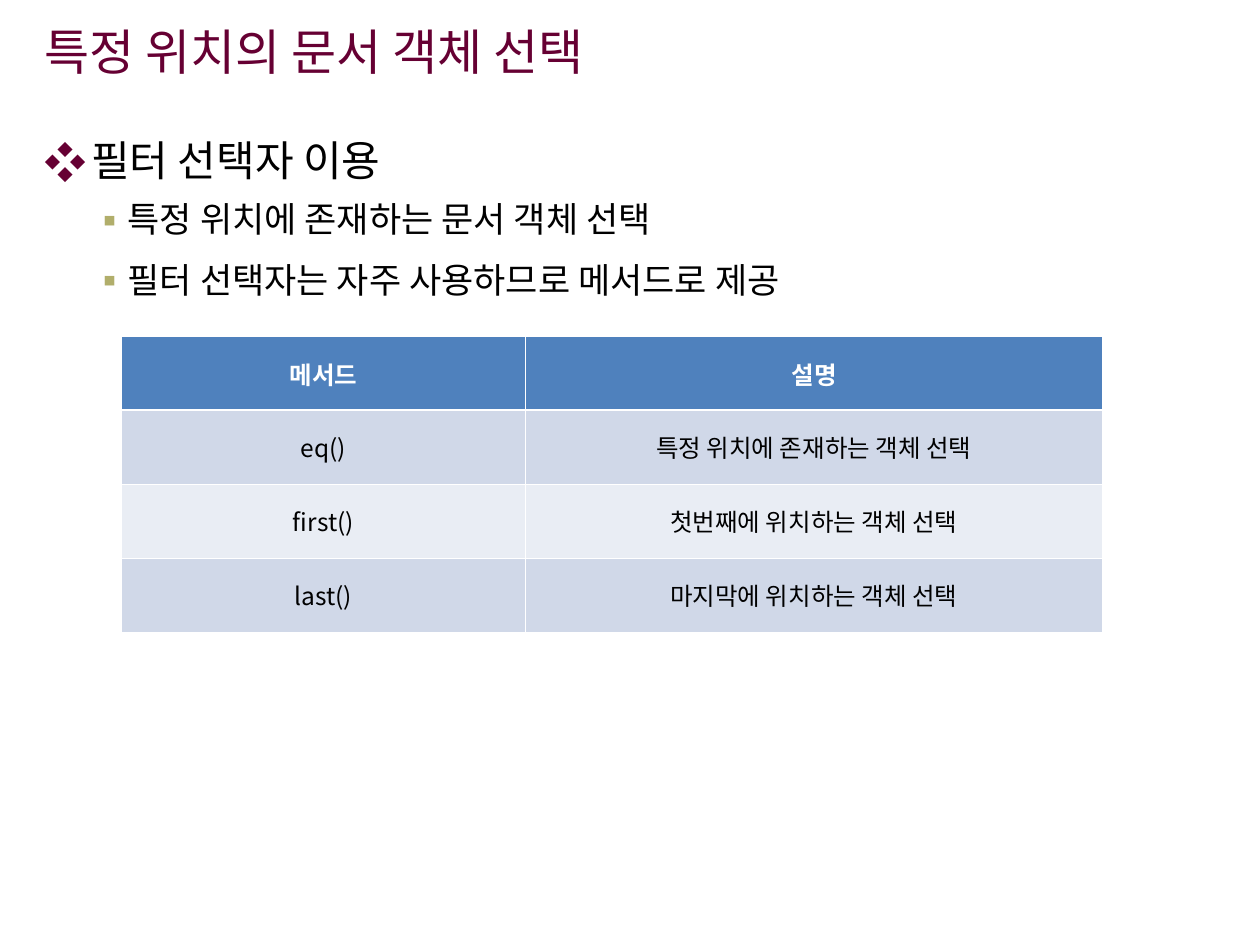
import dataclasses

import lxml.etree
import pptx
import pptx.dml.color
import pptx.enum.text
import pptx.oxml.ns
import pptx.util

Cm = pptx.util.Cm
Pt = pptx.util.Pt
Align = pptx.enum.text.PP_ALIGN
Anchor = pptx.enum.text.MSO_ANCHOR
qn = pptx.oxml.ns.qn


@dataclasses.dataclass(frozen=True)
class Theme:
    font: str = "Noto Sans CJK KR"
    wine: str = "660033"
    olive: str = "B1AE6B"
    black: str = "000000"
    white: str = "FFFFFF"
    head: str = "4F81BD"
    bands: tuple[str, str] = ("D0D8E8", "E9EDF4")
    title: int = 28
    topic: int = 24
    point: int = 20
    cell: int = 14
    thin: float = 0.45
    thick: float = 1.47


@dataclasses.dataclass(frozen=True)
class Bullet:
    mark: str
    color: str
    left: float
    hang: float


@dataclasses.dataclass(frozen=True)
class Item:
    text: str
    size: int
    bullet: Bullet
    level: int = 0
    before: int = 6
    after: int = 0
    lines: float = 1.0


THEME = Theme()
DIAMOND = Bullet("❖", THEME.wine, 0.95, 0.95)
SQUARE = Bullet("▪", THEME.olive, 1.5, 0.52)

TITLE = "특정 위치의 문서 객체 선택"
POINT = dict(size=THEME.point, bullet=SQUARE, level=1, before=5, after=3, lines=1.1)
ITEMS = [
    Item("필터 선택자 이용", THEME.topic, DIAMOND),
    Item("특정 위치에 존재하는 문서 객체 선택", **POINT),
    Item("필터 선택자는 자주 사용하므로 메서드로 제공", **POINT),
]
ROWS = [
    ("메서드", "설명"),
    ("eq()", "특정 위치에 존재하는 객체 선택"),
    ("first()", "첫번째에 위치하는 객체 선택"),
    ("last()", "마지막에 위치하는 객체 선택"),
]
COLS = (8.14, 11.64)
HIGH = 1.49


def rgb(color: str) -> pptx.dml.color.RGBColor:
    return pptx.dml.color.RGBColor.from_string(color)


def add(parent, tag: str, **attrs: str):
    return lxml.etree.SubElement(parent, qn(tag), attrs)


def write(para, text: str, *, size: int, color: str = THEME.black,
          bold: bool = False, align=Align.LEFT) -> None:
    para.alignment = align
    run = para.add_run()
    run.text = text
    font = run.font
    font.size, font.bold, font.name = Pt(size), bold, THEME.font
    font.color.rgb = rgb(color)
    # Korean letters take the East Asian font
    add(font._element, "a:ea", typeface=THEME.font)


def mark(para, bullet: Bullet) -> None:
    props = para._p.get_or_add_pPr()
    props.set("marL", str(Cm(bullet.left)))
    props.set("indent", str(-Cm(bullet.hang)))
    add(add(props, "a:buClr"), "a:srgbClr", val=bullet.color)
    add(props, "a:buFont", typeface=THEME.font)
    add(props, "a:buChar", char=bullet.mark)


def box(slide, left: float, top: float, width: float, height: float,
        anchor=Anchor.TOP):
    frame = slide.shapes.add_textbox(Cm(left), Cm(top), Cm(width), Cm(height)).text_frame
    frame.word_wrap = True
    frame.vertical_anchor = anchor
    return frame


def listing(frame, items: list[Item]) -> None:
    for i, item in enumerate(items):
        para = frame.add_paragraph() if i else frame.paragraphs[0]
        para.level = item.level
        para.line_spacing = item.lines
        para.space_before, para.space_after = Pt(item.before), Pt(item.after)
        mark(para, item.bullet)
        write(para, item.text, size=item.size)


def edge(cell, **widths: float) -> None:
    props = cell._tc.get_or_add_tcPr()
    for side in "LRTB":
        width = widths.get(side, THEME.thin)
        line = add(props, f"a:ln{side}", w=str(Pt(width)))
        add(add(line, "a:solidFill"), "a:srgbClr", val=THEME.white)


def grid(slide, left: float, top: float) -> None:
    table = slide.shapes.add_table(len(ROWS), len(COLS), Cm(left), Cm(top),
                                   Cm(sum(COLS)), Cm(HIGH * len(ROWS))).table
    for col, width in zip(table.columns, COLS):
        col.width = Cm(width)
    for r, row in enumerate(ROWS):
        table.rows[r].height = Cm(HIGH)
        head = r == 0
        # A thicker rule parts the header from the body
        rule = {0: {"B": THEME.thick}, 1: {"T": THEME.thick}}.get(r, {})
        for c, text in enumerate(row):
            cell = table.cell(r, c)
            edge(cell, **rule)
            cell.fill.solid()
            cell.fill.fore_color.rgb = rgb(THEME.head if head else THEME.bands[(r - 1) % 2])
            cell.vertical_anchor = Anchor.MIDDLE
            write(cell.text_frame.paragraphs[0], text, size=THEME.cell, bold=head,
                  color=THEME.white if head else THEME.black, align=Align.CENTER)


def main() -> None:
    deck = pptx.Presentation()
    deck.slide_width, deck.slide_height = Cm(25.4), Cm(19.05)
    slide = deck.slides.add_slide(deck.slide_layouts[6])

    # Bullet list
    listing(box(slide, 0.64, 2.59, 24.13, 15.88), ITEMS)

    # Title
    frame = box(slide, 0.64, 0.23, 21.01, 1.6, Anchor.MIDDLE)
    write(frame.paragraphs[0], TITLE, size=THEME.title, color=THEME.wine)

    # Method table
    grid(slide, 2.45, 6.78)

    deck.save("out.pptx")


if __name__ == "__main__":
    main()
